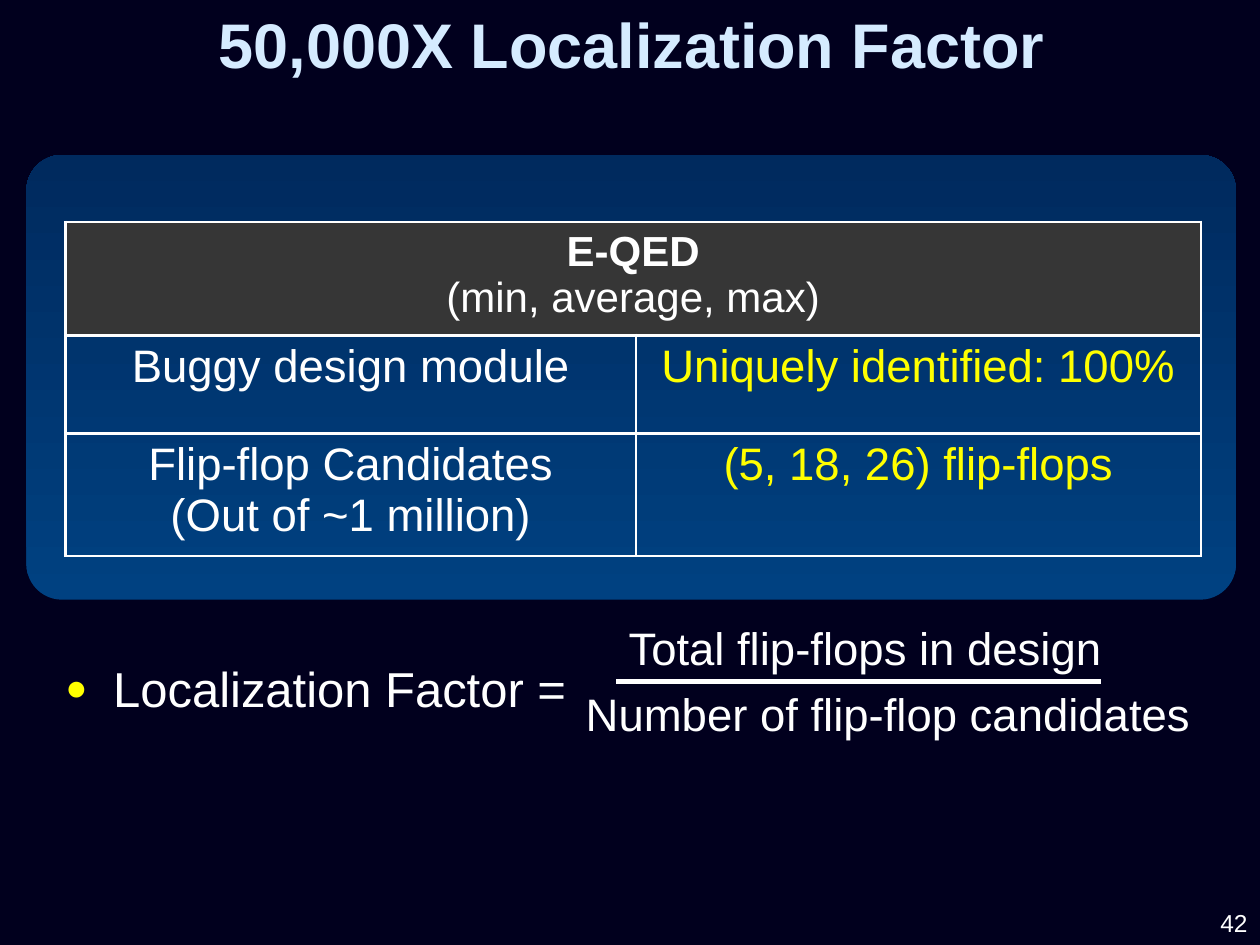
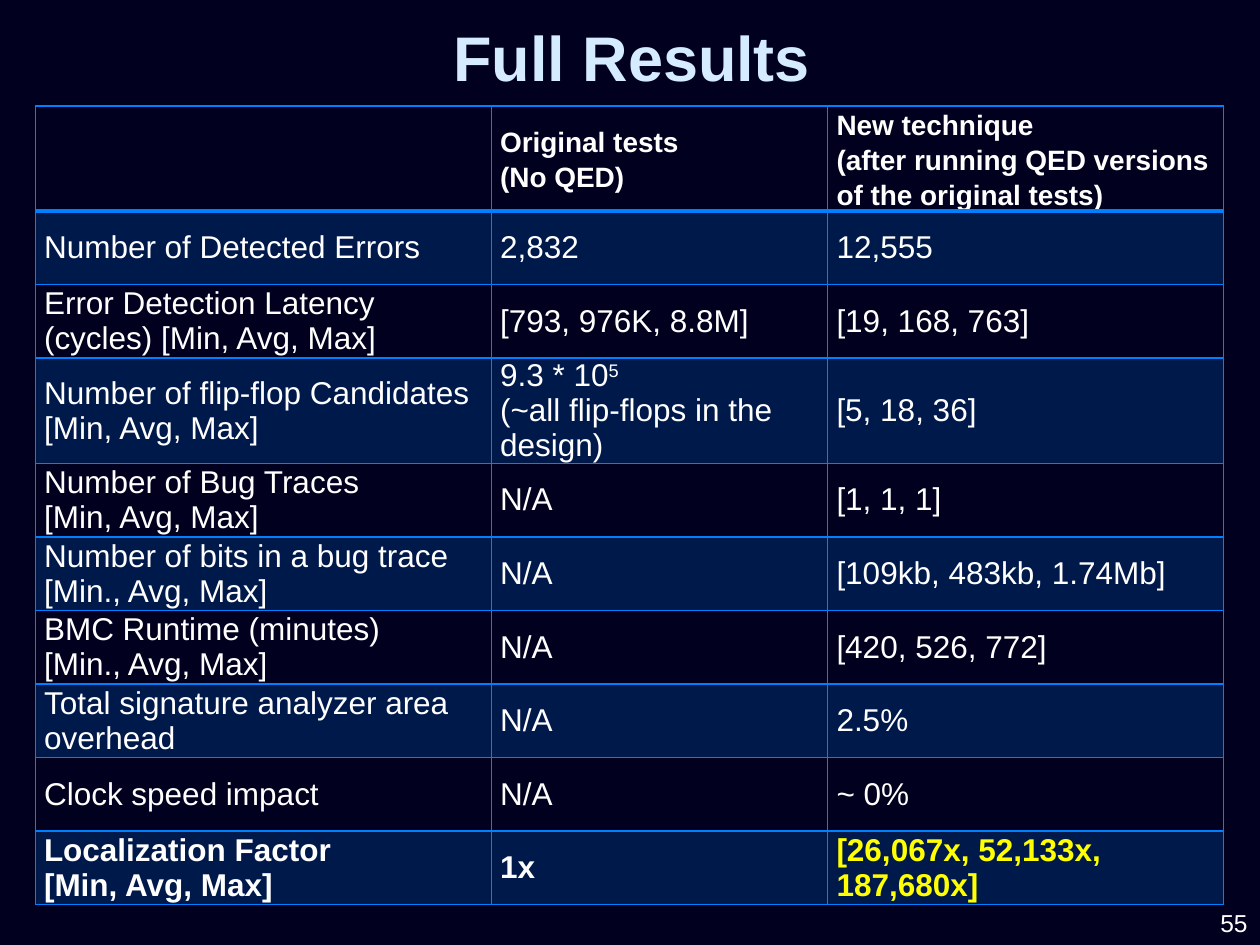
from pptx import Presentation
from pptx.dml.color import RGBColor
from pptx.enum.shapes import MSO_CONNECTOR, MSO_SHAPE
from pptx.enum.text import MSO_ANCHOR, PP_ALIGN
from pptx.oxml.ns import qn
from pptx.util import Inches, Pt
from lxml.etree import SubElement

COLS, ROWS = 100, 75
WIDE, HIGH = Inches(10), Inches(7.5)
FONT = "Arial"
NIGHT, ICE, WHITE, YELLOW = "01001E", "D5EBFF", "FFFFFF", "FFFF00"
BLUE, GREY, DEEP, SEA = "0080FF", "363636", "002A5E", "004181"
LEFT, MID, RIGHT = PP_ALIGN.LEFT, PP_ALIGN.CENTER, PP_ALIGN.RIGHT
ALL = 99

RESULTS = [
    ("", "Original tests\n(No QED)",
     "New technique\n(after running QED versions of the original tests)"),
    ("Number of Detected Errors", "2,832", "12,555"),
    ("Error Detection Latency\n(cycles) [Min, Avg, Max]",
     "[793, 976K, 8.8M]", "[19, 168, 763]"),
    ("Number of flip-flop Candidates [Min, Avg, Max]",
     "9.3 * 10^5\n(~all flip-flops in the design)", "[5, 18, 36]"),
    ("Number of Bug Traces\n[Min, Avg, Max]", "N/A", "[1, 1, 1]"),
    ("Number of bits in a bug trace [Min., Avg, Max]",
     "N/A", "[109kb, 483kb, 1.74Mb]"),
    ("BMC Runtime (minutes)\n[Min., Avg, Max]", "N/A", "[420, 526, 772]"),
    ("Total signature analyzer area overhead", "N/A", "2.5%"),
    ("Clock speed impact", "N/A", "~ 0%"),
    ("Localization Factor\n[Min, Avg, Max]", "1x",
     "[26,067x, 52,133x, 187,680x]"),
]


def color(code):
    return RGBColor.from_string(code)


def across(n):
    return round(WIDE * n / COLS)


def down(n):
    return round(HIGH * n / ROWS)


def area(x, y, w, h):
    return across(x), down(y), across(w), down(h)


def paint(fill, code=None, alpha=None):
    if code is None:
        fill.background()
        return
    fill.solid()
    fill.fore_color.rgb = color(code)
    if alpha:
        tint = fill._xPr.find(qn("a:solidFill"))[0]
        SubElement(tint, qn("a:alpha"), val=str(alpha * 1000))


def bullet(para):
    props = para._p.get_or_add_pPr()
    props.set("marL", str(across(3.8)))
    props.set("indent", str(-across(3.8)))
    tone = SubElement(props, qn("a:buClr"))
    SubElement(tone, qn("a:srgbClr"), val=YELLOW)
    SubElement(props, qn("a:buSzPct"), val="75000")
    SubElement(props, qn("a:buFont"), typeface=FONT)
    SubElement(props, qn("a:buChar"), char="●")


def write(frame, words, size=26, tone=WHITE, bold=0, align=LEFT, pitch=None,
          dot=False):
    for i, line in enumerate(words.split("\n")):
        para = frame.add_paragraph() if i else frame.paragraphs[0]
        if dot:
            bullet(para)
        para.alignment = align
        if pitch:
            para.line_spacing = Pt(pitch)
        for j, part in enumerate(line.split("^")):
            run = para.add_run()
            run.text = part
            font = run.font
            font.name, font.size, font.bold = FONT, Pt(size), i < bold
            font.color.rgb = color(tone)
            if j:
                run._r.get_or_add_rPr().set("baseline", "30000")


def label(slide, words, box, wrap=True, **style):
    frame = slide.shapes.add_textbox(*area(*box)).text_frame
    frame.word_wrap = wrap
    frame.vertical_anchor = MSO_ANCHOR.MIDDLE
    write(frame, words, **style)


def start(deck, title, top, page):
    slide = deck.slides.add_slide(deck.slide_layouts[6])
    paint(slide.background.fill, NIGHT)
    label(slide, title, (1.1, top, 98.1, 7.1), size=36, tone=ICE, bold=ALL,
          align=MID)
    label(slide, page, (81.8, 71.5, 18.2, 3.5), size=14, align=RIGHT)
    return slide


def panel(slide, box):
    shape = slide.shapes.add_shape(MSO_SHAPE.ROUNDED_RECTANGLE, *area(*box))
    shape.adjustments[0] = 0.08
    shape.shadow.inherit = False
    shape.line.fill.background()
    shape.fill.gradient()
    shape.fill.gradient_angle = 90
    for stop, code in zip(shape.fill.gradient_stops, (SEA, DEEP)):
        stop.color.rgb = color(code)


def rule(slide, x, y, end):
    line = slide.shapes.add_connector(MSO_CONNECTOR.STRAIGHT, across(x),
                                      down(y), across(end), down(y))
    line.line.color.rgb = color(WHITE)
    line.line.width = Pt(3)
    SubElement(line._element.spPr, qn("a:effectLst"))


def border(cell, code, top, low, side):
    props = cell._tc.get_or_add_tcPr()
    for name, width in zip("LRTB", (side, side, top, low)):
        edge = SubElement(props, qn("a:ln" + name), w=str(Pt(width)))
        SubElement(SubElement(edge, qn("a:solidFill")), qn("a:srgbClr"),
                   val=code)


def grid(slide, x, y, cols, rows, code, thin, thick):
    box = area(x, y, sum(cols), sum(rows))
    table = slide.shapes.add_table(len(rows), len(cols), *box).table
    table.first_row = table.horz_banding = False
    for col, width in zip(table.columns, cols):
        col.width = across(width)
    for i, (row, height) in enumerate(zip(table.rows, rows)):
        row.height = down(height)
        for cell in row.cells:
            border(cell, code, thick if i == 1 else thin,
                   thick if i == 0 else thin, thin)
            paint(cell.fill)
    return table


def factor(deck):
    slide = start(deck, "50,000X Localization Factor", -0.1, "42")
    panel(slide, (2.1, 12.3, 96, 35.3))
    table = grid(slide, 5.2, 17.6, (45.3, 44.8), (9, 7.8, 9.7), WHITE, 1.5, 2)
    head = table.cell(0, 0)
    head.merge(table.cell(0, 1))
    paint(head.fill, GREY)
    write(head.text_frame, "E-QED\n(min, average, max)", size=24, bold=1,
          align=MID)
    facts = [("Buggy design module", "Uniquely identified: 100%"),
             ("Flip-flop Candidates\n(Out of ~1 million)",
              "(5, 18, 26) flip-flops")]
    for i, pair in enumerate(facts, 1):
        for j, (words, tone) in enumerate(zip(pair, (WHITE, YELLOW))):
            write(table.cell(i, j).text_frame, words, tone=tone, align=MID)
    label(slide, "Localization Factor =", (4.2, 51.9, 42, 5.4), size=28,
          dot=True)
    label(slide, "Total flip-flops in design", (48.9, 48.7, 40, 5.4),
          wrap=False)
    rule(slide, 48.9, 54.1, 87.4)
    label(slide, "Number of flip-flop candidates", (45.5, 53.9, 50.5, 5.4),
          wrap=False)


def results(deck):
    slide = start(deck, "Full Results", 0.9, "55")
    rows = [8.35, 5.84, 5.84, 8.35] + [5.84] * 6
    table = grid(slide, 2.8, 8.4, (36.2, 26.7, 31.4), rows, BLUE, 1, 2)
    last = len(RESULTS) - 1
    for i, line in enumerate(RESULTS):
        for j, words in enumerate(line):
            cell = table.cell(i, j)
            cell.vertical_anchor = MSO_ANCHOR.MIDDLE
            cell.margin_left = cell.margin_right = across(0.7)
            cell.margin_top = cell.margin_bottom = 0
            if i % 2:
                paint(cell.fill, BLUE, 20)
            if words:
                write(cell.text_frame, words, size=18 if i else 16, pitch=20,
                      bold=ALL if i in (0, last) else 0,
                      tone=YELLOW if (i, j) == (last, 2) else WHITE)


def main():
    deck = Presentation()
    deck.slide_width, deck.slide_height = WIDE, HIGH
    factor(deck)
    results(deck)
    deck.save("out.pptx")


if __name__ == "__main__":
    main()
